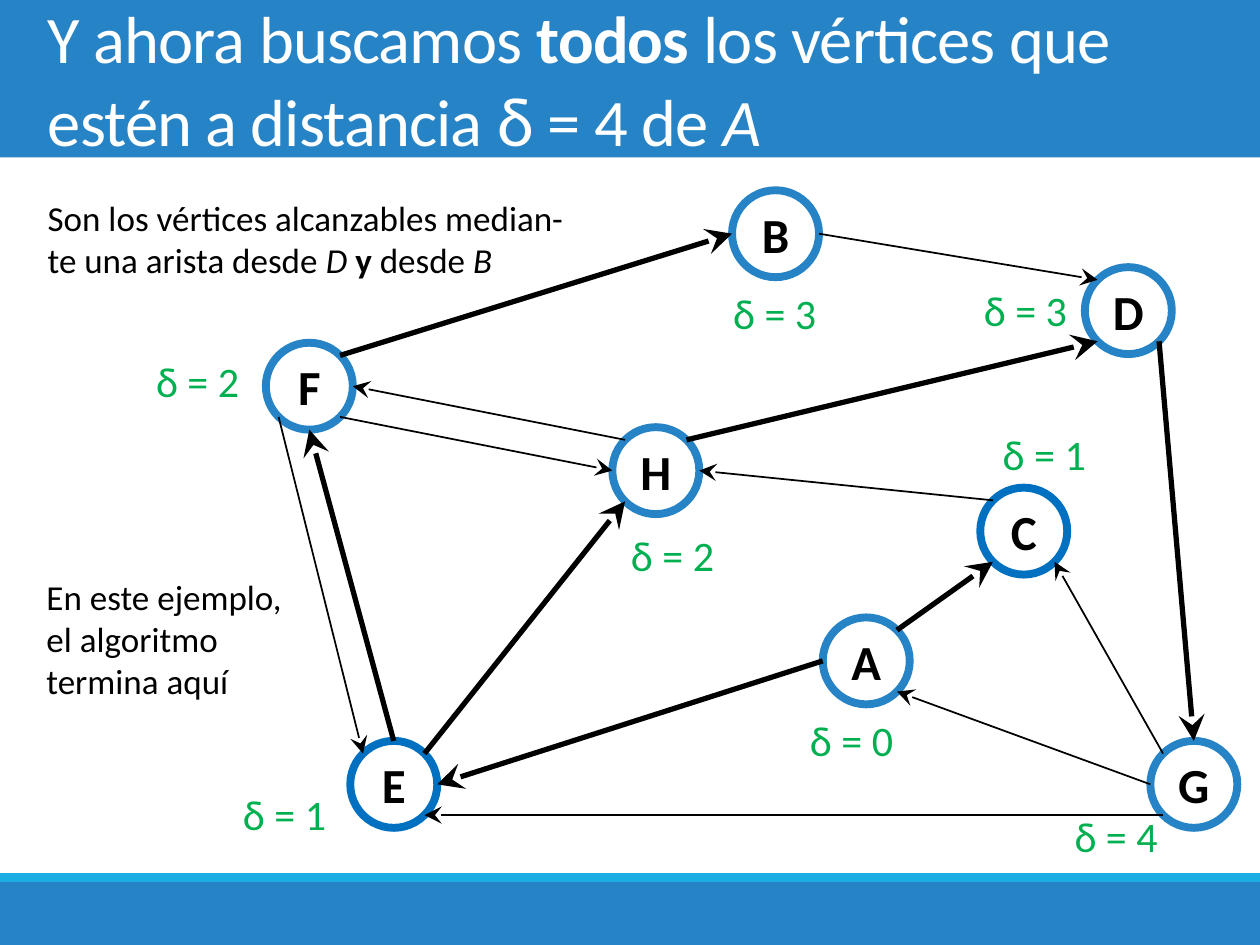
from math import cos, pi, sin

from lxml import etree
from pptx import Presentation
from pptx import util as u
from pptx.dml.color import RGBColor
from pptx.enum import shapes, text
from pptx.oxml.ns import qn

BLUE = RGBColor(0x26, 0x83, 0xC6)
DEEP_BLUE = RGBColor(0x00, 0x70, 0xC0)
CYAN = RGBColor(0x1C, 0xAD, 0xE4)
GREEN = RGBColor(0x00, 0xB0, 0x50)
BLACK = RGBColor(0, 0, 0)
WHITE = RGBColor(255, 255, 255)

COLUMNS, ROWS = 100, 75
CELL = u.Inches(10) // COLUMNS
DIAMETER = 6.9
LABEL_SIZE = (8.7, 5)
COMPASS = ["N", "NW", "W", "SW", "S", "SE", "E", "NE"]

BANDS = [
    ((0, 0, COLUMNS, 12.5), BLUE),
    ((0, 70, COLUMNS, 5), BLUE),
    ((0, 69.3, COLUMNS, 0.7), CYAN),
]
TITLE_BOX = (2.8, 0, 94.5, 12.5)
TITLE = [[
    ("Y ahora buscamos ", {}),
    ("todos", {"bold": True}),
    (" los vértices que estén a distancia ", {}),
    ("δ", {"size": 40}),
    (" = 4 de ", {}),
    ("A", {"italic": True}),
]]
NOTES = [
    ((2.8, 15.1, 43.4, 7.7), [
        [("Son los vértices alcanzables median-", {})],
        [("te una arista desde ", {}), ("D ", {"italic": True}), ("y", {"bold": True}),
         (" desde ", {}), ("B", {"italic": True})],
    ]),
    ((2.7, 45.2, 20.9, 11.1), [
        [("En este ejemplo,", {})], [("el algoritmo", {})], [("termina aquí", {})],
    ]),
]
VERTICES = {
    "A": ((65.3, 49), BLUE, 0, (63.3, 56.2)),
    "B": ((58.1, 15.1), BLUE, 3, (57.2, 22.3)),
    "C": ((77.8, 38.7), DEEP_BLUE, 1, (78.6, 33.5)),
    "D": ((86.1, 21.2), BLUE, 3, (77.1, 22.1)),
    "E": ((27.8, 58.8), DEEP_BLUE, 1, (18.3, 62.1)),
    "F": ((21.1, 27.2), BLUE, 2, (11.4, 27.7)),
    "G": ((91.3, 58.8), BLUE, 4, (84.3, 63.8)),
    "H": ((48.6, 33.9), BLUE, 2, (49.1, 41.5)),
}
TREE_EDGES = [
    ("F", "NE", "B", "W"), ("H", "NE", "D", "SW"), ("D", "SE", "G", "N"),
    ("A", "NE", "C", "SW"), ("A", "W", "E", "E"), ("E", "NE", "H", "SW"),
    ("E", "N", "F", "S"),
]
OTHER_EDGES = [
    ("B", "E", "D", "NW"), ("G", "SW", "E", "SE"), ("G", "NW", "C", "SE"),
    ("G", "W", "A", "SE"), ("C", "NW", "H", "E"), ("H", "NW", "F", "E"),
    ("F", "SE", "H", "W"), ("F", "SW", "E", "NW"),
]


def cells(*lengths):
    return [u.Emu(round(length * CELL)) for length in lengths]


def write(frame, paragraphs, size=20, color=BLACK, bold=False, align=text.PP_ALIGN.LEFT,
          anchor=text.MSO_ANCHOR.TOP, wrap=False, fit=text.MSO_AUTO_SIZE.NONE, spacing=None):
    frame.word_wrap, frame.auto_size, frame.vertical_anchor = wrap, fit, anchor
    for index, parts in enumerate(paragraphs):
        paragraph = frame.add_paragraph() if index else frame.paragraphs[0]
        paragraph.alignment = align
        for words, style in parts:
            run = paragraph.add_run()
            run.text = words
            font = run.font
            font.name = "Calibri"
            font.size = u.Pt(style.get("size", size))
            font.bold = style.get("bold", bold)
            font.italic = style.get("italic", False)
            font.color.rgb = color
            if spacing is not None:
                run._r.get_or_add_rPr().set("spc", str(round(spacing * 100)))


def add_shape(slide, kind, box, fill, outline=None):
    shape = slide.shapes.add_shape(kind, *cells(*box))
    shape.shadow.inherit = False
    shape.fill.solid()
    shape.fill.fore_color.rgb = fill
    if outline is None:
        shape.line.fill.background()
    else:
        shape.line.color.rgb = outline
        shape.line.width = u.Pt(4.5)
    return shape


def add_text(slide, box, paragraphs, **style):
    frame = slide.shapes.add_textbox(*cells(*box)).text_frame
    write(frame, paragraphs, fit=text.MSO_AUTO_SIZE.SHAPE_TO_FIT_TEXT, **style)


def rim_point(name, side):
    (left, top), *_ = VERTICES[name]
    angle, radius = COMPASS.index(side) * pi / 4, DIAMETER / 2
    return cells(left + radius - radius * sin(angle), top + radius - radius * cos(angle))


def add_edge(slide, circles, edge, width):
    source, source_side, target, target_side = edge
    start, end = rim_point(source, source_side), rim_point(target, target_side)
    arrow = slide.shapes.add_connector(shapes.MSO_CONNECTOR.STRAIGHT, *start, *end)
    arrow.begin_connect(circles[source], 0)
    arrow.end_connect(circles[target], 0)
    for tag, side in (("a:stCxn", source_side), ("a:endCxn", target_side)):
        joint = next(arrow._element.iter(qn(tag)))
        joint.set("idx", str(COMPASS.index(side)))
    arrow.begin_x, arrow.begin_y = start
    arrow.end_x, arrow.end_y = end
    arrow.line.color.rgb = BLACK
    arrow.line.width = u.Pt(width)
    etree.SubElement(arrow.line._get_or_add_ln(), qn("a:tailEnd"),
                     type="stealth", w="lg", len="lg")
    etree.SubElement(arrow._element.spPr, qn("a:effectLst"))


def main():
    deck = Presentation()
    deck.slide_width, deck.slide_height = COLUMNS * CELL, ROWS * CELL
    slide = deck.slides.add_slide(deck.slide_layouts[5])

    for box, color in BANDS:
        add_shape(slide, shapes.MSO_SHAPE.RECTANGLE, box, color)

    title = slide.shapes.title
    title.left, title.top, title.width, title.height = cells(*TITLE_BOX)
    write(title.text_frame, TITLE, size=38, color=WHITE, wrap=True,
          anchor=text.MSO_ANCHOR.MIDDLE, spacing=-0.5)
    slide.shapes._spTree.append(title._element)

    circles = {}
    for name, (corner, outline, _, _) in VERTICES.items():
        circles[name] = add_shape(slide, shapes.MSO_SHAPE.OVAL,
                                  (*corner, DIAMETER, DIAMETER), WHITE, outline)
        write(circles[name].text_frame, [[(name, {})]], size=28, bold=True,
              align=text.PP_ALIGN.CENTER, anchor=text.MSO_ANCHOR.MIDDLE)

    for edges, width in ((TREE_EDGES, 3), (OTHER_EDGES, 1)):
        for edge in edges:
            add_edge(slide, circles, edge, width)

    for _, _, distance, corner in VERTICES.values():
        add_text(slide, (*corner, *LABEL_SIZE), [[(f"δ = {distance}", {})]],
                 size=24, color=GREEN)
    for box, paragraphs in NOTES:
        add_text(slide, box, paragraphs)

    deck.save("out.pptx")


if __name__ == "__main__":
    main()
